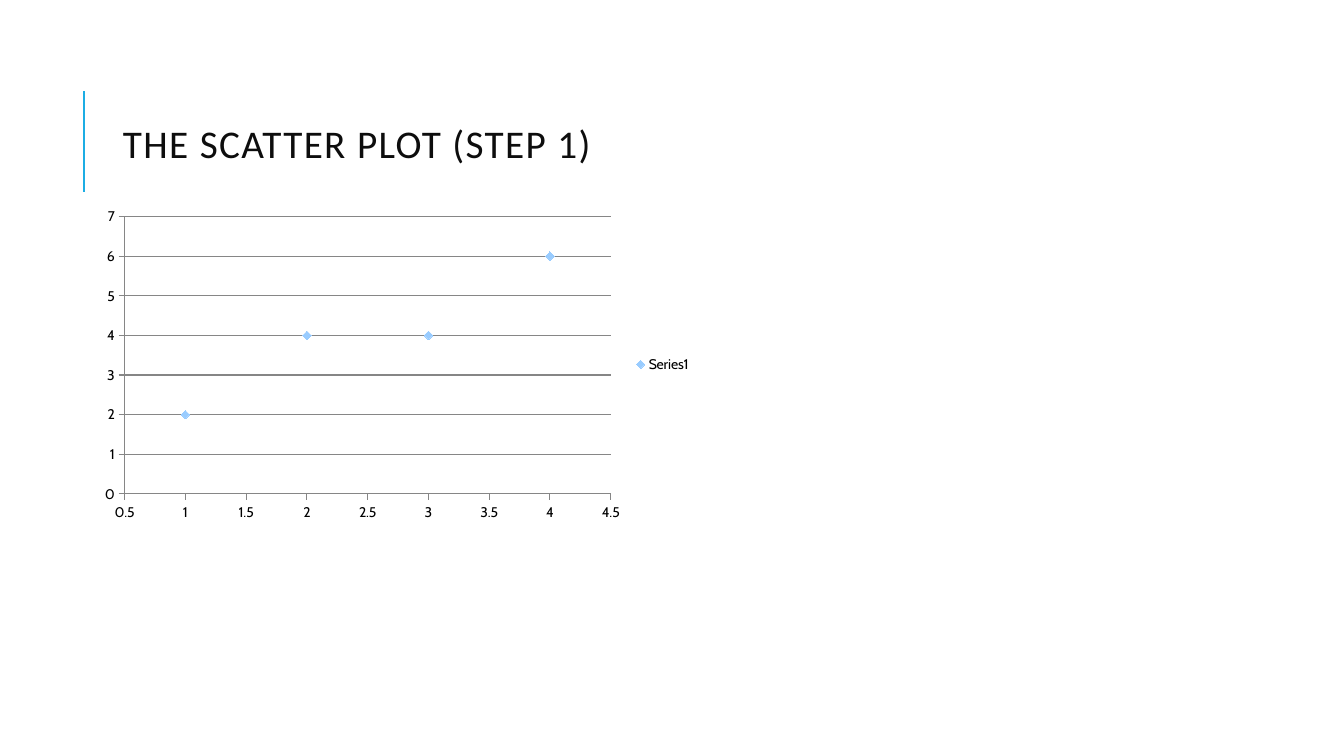
"""Build the scatter plot slide with its title, accent rule and chart."""
from typing import NamedTuple

from lxml import etree
from pptx import Presentation
from pptx.chart.data import XyChartData
from pptx.dml.color import RGBColor
from pptx.enum.chart import (XL_CHART_TYPE, XL_LEGEND_POSITION,
                             XL_MARKER_STYLE, XL_TICK_MARK)
from pptx.enum.shapes import MSO_CONNECTOR
from pptx.enum.text import MSO_ANCHOR, MSO_AUTO_SIZE, PP_ALIGN
from pptx.oxml.ns import qn
from pptx.util import Inches, Pt

SCATTER = XL_CHART_TYPE.XY_SCATTER
LEGEND_RIGHT = XL_LEGEND_POSITION.RIGHT
DIAMOND = XL_MARKER_STYLE.DIAMOND
TICK_OUT = XL_TICK_MARK.OUTSIDE
STRAIGHT = MSO_CONNECTOR.STRAIGHT
MIDDLE = MSO_ANCHOR.MIDDLE
NO_FIT = MSO_AUTO_SIZE.NONE
LEFT = PP_ALIGN.LEFT

COLORS = {"accent": "1CADE4", "title": "0D0D0D", "text": "000000",
          "grid": "868686", "marker": "99CCFF"}
COLUMNS, ROWS = 160, 90
POINTS = [(1, 2), (2, 4), (3, 4), (4, 6)]


class Box(NamedTuple):
    col: float
    row: float
    cols: float
    rows: float


class AxisScale(NamedTuple):
    low: float
    high: float
    step: float


RULE = Box(10, 10.8, 0, 12)
TITLE = Box(13.44, 7.68, 127.56, 19.68)
CHART = Box(11.04, 24, 72.48, 38.76)
X_SCALE = AxisScale(0.5, 4.5, 0.5)
Y_SCALE = AxisScale(0, 7, 1)


def color(name: str) -> RGBColor:
    return RGBColor.from_string(COLORS[name])


def place(prs, box: Box) -> tuple[int, int, int, int]:
    col, row = prs.slide_width / COLUMNS, prs.slide_height / ROWS
    return (round(box.col * col), round(box.row * row),
            round(box.cols * col), round(box.rows * row))


def add_rule(prs, s, box: Box) -> None:
    x, y, w, h = place(prs, box)
    line = s.shapes.add_connector(STRAIGHT, x, y + h, x + w, y)
    line.line.color.rgb = color("accent")
    line.line.width = Pt(1.5)
    etree.SubElement(line._element.spPr, qn("a:effectLst"))


def set_title(prs, s, box: Box, text: str) -> None:
    sp = s.shapes.title
    sp.left, sp.top, sp.width, sp.height = place(prs, box)
    tf = sp.text_frame
    tf.auto_size = NO_FIT
    tf.word_wrap = True
    tf.vertical_anchor = MIDDLE
    p = tf.paragraphs[0]
    p.alignment = LEFT
    p.line_spacing = 0.8
    p.font.name = "Calibri"
    p.font.size = Pt(28)
    p.font.color.rgb = color("title")
    r = p.add_run()
    r.text = text
    r.font._element.set("spc", "100")


def format_axis(axis, scale: AxisScale, gridlines: bool) -> None:
    axis.minimum_scale, axis.maximum_scale, axis.major_unit = scale
    axis.major_tick_mark = TICK_OUT
    axis.has_major_gridlines = gridlines
    lines = [axis.format.line]
    if gridlines:
        lines.append(axis.major_gridlines.format.line)
    for line in lines:
        line.color.rgb = color("grid")
        line.width = Pt(0.75)
    axis.tick_labels.number_format = "General"
    axis.tick_labels.number_format_is_linked = False


def add_scatter(prs, s, box: Box) -> None:
    data = XyChartData()
    series_data = data.add_series("Series1")
    for x, y in POINTS:
        series_data.add_data_point(x, y)
    chart = s.shapes.add_chart(SCATTER, *place(prs, box), data).chart
    chart.has_title = False
    chart.font.name = "Cabin"
    chart.font.size = Pt(10)
    chart.font.color.rgb = color("text")
    chart.has_legend = True
    chart.legend.position = LEGEND_RIGHT
    chart.legend.include_in_layout = False
    format_axis(chart.category_axis, X_SCALE, False)
    format_axis(chart.value_axis, Y_SCALE, True)
    plot = chart.plots[0]
    plot.vary_by_categories = False
    series = plot.series[0]
    series.smooth = False
    series.format.line.fill.background()
    marker = series.marker
    marker.style = DIAMOND
    marker.size = 6
    marker.format.fill.solid()
    marker.format.fill.fore_color.rgb = color("marker")
    marker.format.line.fill.background()


def main() -> None:
    prs = Presentation()
    prs.slide_width, prs.slide_height = Inches(13.33), Inches(7.5)
    s = prs.slides.add_slide(prs.slide_layouts.get_by_name("Title Only"))
    add_rule(prs, s, RULE)
    set_title(prs, s, TITLE, "THE SCATTER PLOT (STEP 1)")
    add_scatter(prs, s, CHART)
    prs.save("out.pptx")


if __name__ == "__main__":
    main()
